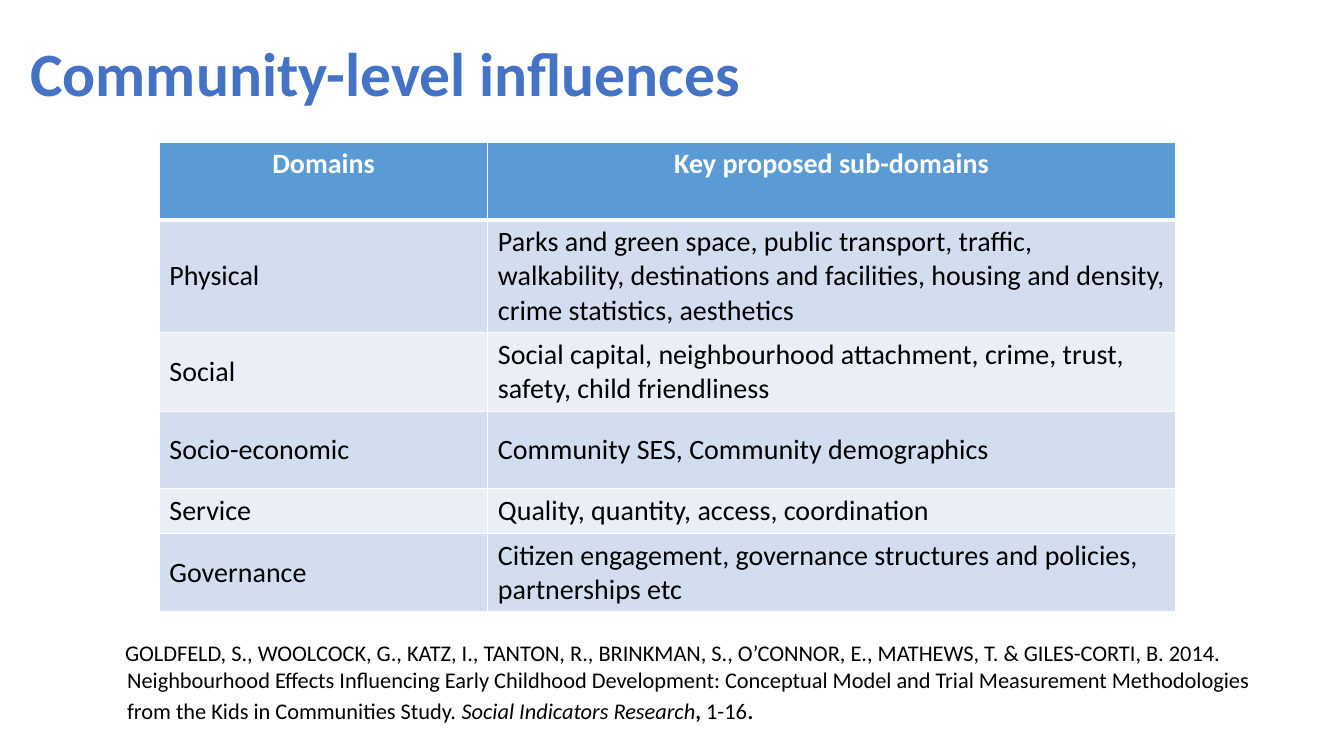
from lxml.etree import SubElement
from pptx import Presentation
from pptx.dml.color import RGBColor as Rgb
from pptx.enum.text import MSO_ANCHOR as Anchor, PP_ALIGN as Align
from pptx.oxml.ns import qn
from pptx.util import Pt

COLOURS = {
    "title": "4472C4",
    "header": "5B9BD5",
    "odd": "D2DEEF",
    "even": "EAEFF7",
    "light": "FFFFFF",
    "text": "000000",
}
FONT = "Calibri"
COLUMN_WIDTHS = [234.7, 491]
ROW_HEIGHTS = [55.4, 55.4, 55.4, 55.4, 31, 55.4]
DOMAINS = [
    ("Domains", "Key proposed sub-domains"),
    ("Physical", "Parks and green space, public transport, traffic, walkability, "
     "destinations and facilities, housing and density, crime statistics, aesthetics"),
    ("Social", "Social capital, neighbourhood attachment, crime, trust, safety, "
     "child friendliness"),
    ("Socio-economic", "Community SES, Community demographics"),
    ("Service", "Quality, quantity, access, coordination"),
    ("Governance", "Citizen engagement, governance structures and policies, "
     "partnerships etc"),
]
CITATION = [
    ("GOLDFELD, S., WOOLCOCK, G., KATZ, I., TANTON, R., BRINKMAN, S., O’CONNOR, E., "
     "MATHEWS, T. & GILES-CORTI, B. 2014. Neighbourhood Effects Influencing Early "
     "Childhood Development: Conceptual Model and Trial Measurement Methodologies "
     "from the Kids in Communities Study. ", {}),
    ("Social Indicators Research", {"italic": True}),
    (",", {"bold": True}),
    (" 1-16", {}),
    (".", {"size": Pt(19)}),
]


def apply(target, formats):
    """Set each named format value on the target."""
    for name, value in formats.items():
        setattr(target, name, value)


def add_span(para, text, colour, **formats):
    """Add one formatted run to a paragraph."""
    span = para.add_run()
    span.text = text
    apply(span.font, {"name": FONT, "bold": False, **formats})
    span.font.color.rgb = Rgb.from_string(COLOURS[colour])


def add_borders(cell, widths):
    """Draw white cell borders, given a width in points per side."""
    properties = cell._tc.get_or_add_tcPr()
    for side, width in widths.items():
        line = SubElement(properties, qn(f"a:ln{side}"), w=str(Pt(width)))
        fill = SubElement(line, qn("a:solidFill"))
        SubElement(fill, qn("a:srgbClr"), val=COLOURS["light"])


def add_title(page, left, top, width, height):
    """Place the slide heading in the title placeholder."""
    title = page.shapes.title
    apply(title, {"left": Pt(left), "top": Pt(top),
                  "width": Pt(width), "height": Pt(height)})
    title.text_frame.vertical_anchor = Anchor.MIDDLE
    para = title.text_frame.paragraphs[0]
    apply(para, {"alignment": Align.LEFT, "line_spacing": 0.9})
    add_span(para, "Community-level influences", "title", size=Pt(44), bold=True)


def add_domain_table(page, left, top):
    """Build the table of domains and their sub-domains."""
    frame = page.shapes.add_table(
        len(DOMAINS), len(COLUMN_WIDTHS), Pt(left), Pt(top),
        Pt(sum(COLUMN_WIDTHS)), Pt(sum(ROW_HEIGHTS)))
    table = frame.table
    for column, width in zip(table.columns, COLUMN_WIDTHS):
        column.width = Pt(width)
    for index, (row, height, texts) in enumerate(zip(table.rows, ROW_HEIGHTS, DOMAINS)):
        row.height = Pt(height)
        is_header = index == 0
        shade = "header" if is_header else "odd" if index % 2 else "even"
        widths = {"L": 1, "R": 1, "T": 3 if index == 1 else 1, "B": 3 if is_header else 1}
        for cell, text in zip(row.cells, texts):
            add_borders(cell, widths)
            cell.fill.solid()
            cell.fill.fore_color.rgb = Rgb.from_string(COLOURS[shade])
            cell.vertical_anchor = Anchor.TOP if is_header else Anchor.MIDDLE
            para = cell.text_frame.paragraphs[0]
            para.alignment = Align.CENTER if is_header else Align.LEFT
            add_span(para, text, "light" if is_header else "text",
                     size=Pt(20), bold=is_header)


def add_citation(page, left, top, width, height):
    """Write the source reference with a slightly hanging first line."""
    box = page.shapes.add_textbox(Pt(left), Pt(top), Pt(width), Pt(height))
    apply(box.text_frame, {"word_wrap": True, "margin_left": Pt(9.4),
                           "margin_right": Pt(9.4), "margin_top": Pt(8),
                           "margin_bottom": Pt(5)})
    para = box.text_frame.paragraphs[0]
    properties = para._p.get_or_add_pPr()
    properties.set("marL", str(Pt(36)))
    properties.set("indent", str(Pt(-1.5)))
    para.space_after = Pt(10.7)
    for text, formats in CITATION:
        add_span(para, text, "text", **{"size": Pt(16), **formats})


def main():
    """Build and save the deck."""
    deck = Presentation()
    apply(deck, {"slide_width": Pt(960), "slide_height": Pt(540)})
    page = deck.slides.add_slide(deck.slide_layouts[5])
    add_title(page, 14.4, 24.5, 778.3, 59.8)
    add_domain_table(page, 113.8, 101.5)
    add_citation(page, 45.4, 448.6, 884.2, 74.9)
    deck.save("out.pptx")


if __name__ == "__main__":
    main()
